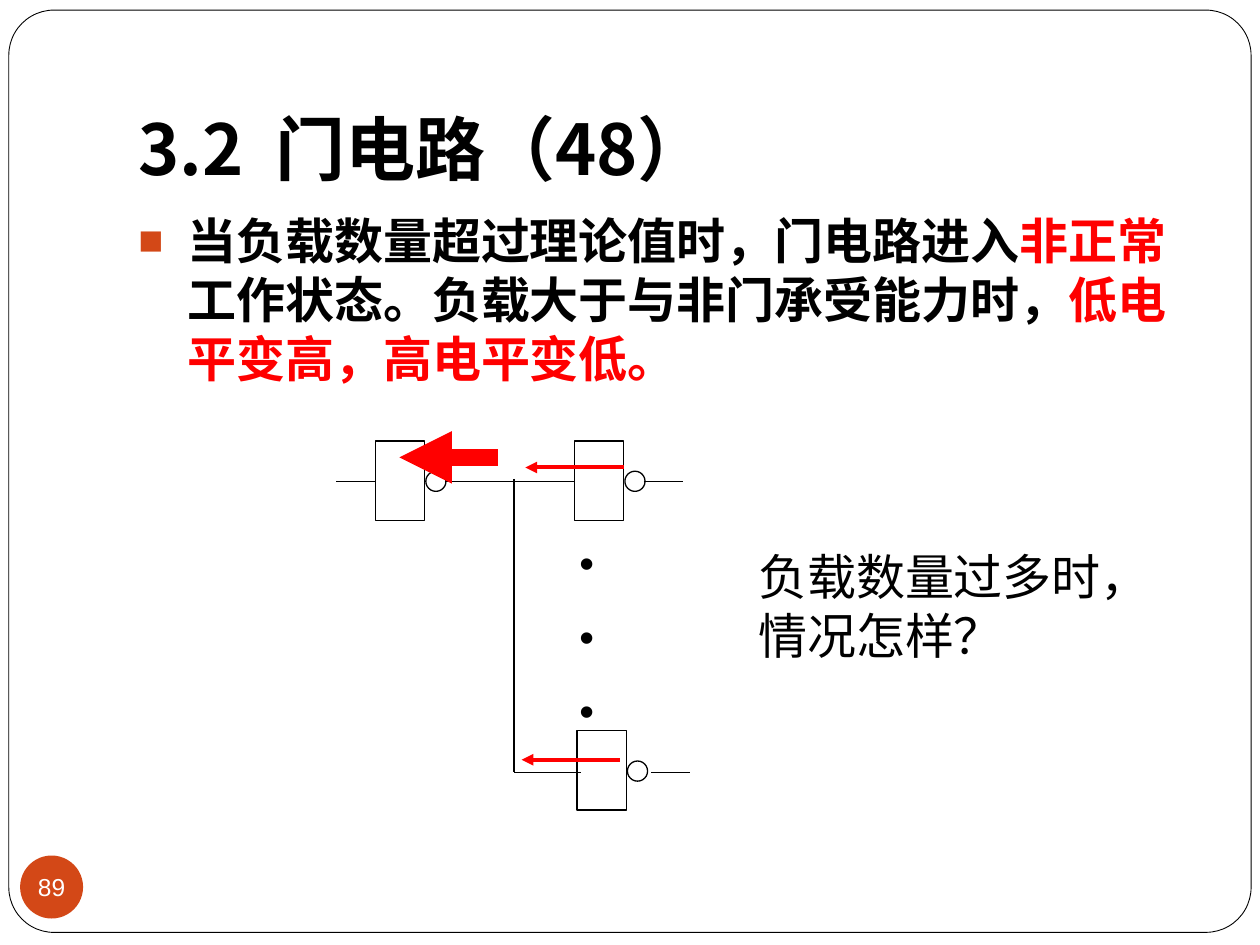
from dataclasses import dataclass

from lxml import etree
from pptx import Presentation
from pptx.dml.color import RGBColor
from pptx.enum.shapes import MSO_CONNECTOR, MSO_SHAPE
from pptx.enum.text import MSO_ANCHOR, PP_ALIGN
from pptx.oxml.ns import qn
from pptx.util import Inches, Pt

RECT, OVAL, ROUND = MSO_SHAPE.RECTANGLE, MSO_SHAPE.OVAL, MSO_SHAPE.ROUNDED_RECTANGLE
STRAIGHT = MSO_CONNECTOR.STRAIGHT
MIDDLE, BOTTOM = MSO_ANCHOR.MIDDLE, MSO_ANCHOR.BOTTOM
CENTER = PP_ALIGN.CENTER


@dataclass(frozen=True)
class Theme:
    """Colours, fonts and point sizes of the slide."""
    ink: str = "000000"
    paper: str = "FFFFFF"
    accent: str = "D34817"
    alert: str = "FF0000"
    latin: str = "Arial"
    cjk: str = "Noto Sans CJK JP"
    title: int = 40
    body: int = 28
    dots: int = 24
    number: int = 14
    leading: float = 33.7
    wire: float = 0.75
    current: float = 2.25
    total: float = 10


T = Theme()


def rgb(value):
    """Turn a hex string into a colour."""
    return RGBColor.from_string(value)


def style_run(r, size, color=T.ink, font=T.latin, bold=False):
    """Set the font of one run for Latin and Chinese text."""
    r.font.size, r.font.bold, r.font.name = Pt(size), bold, font
    r.font.color.rgb = rgb(color)
    etree.SubElement(r.font._element, qn("a:ea"), typeface=T.cjk)


def add_box(s, box, top=0.05, bottom=0.05):
    """Add a wrapping text box and return its frame."""
    tf = s.shapes.add_textbox(*map(Inches, box)).text_frame
    tf.word_wrap = True
    tf.margin_top, tf.margin_bottom = Inches(top), Inches(bottom)
    return tf


def add_outline(s, kind, box, fill=None, line=T.ink, width=T.wire):
    """Add a preset shape with an optional fill and outline."""
    sp = s.shapes.add_shape(kind, *map(Inches, box))
    sp.shadow.inherit = False
    if fill:
        sp.fill.solid()
        sp.fill.fore_color.rgb = rgb(fill)
    else:
        sp.fill.background()
    if line:
        sp.line.color.rgb, sp.line.width = rgb(line), Pt(width)
    else:
        sp.line.fill.background()
    return sp


def add_line(s, start, end, color=T.ink, width=T.wire, arrow=False):
    """Add a straight wire or a current arrow."""
    cn = s.shapes.add_connector(STRAIGHT, *map(Inches, (*start, *end)))
    cn.line.color.rgb, cn.line.width = rgb(color), Pt(width)
    if arrow:
        etree.SubElement(cn.line._get_or_add_ln(), qn("a:tailEnd"), type="triangle")
    etree.SubElement(cn._element.spPr, qn("a:effectLst"))


def add_frame(s, box):
    """Draw the rounded border of the slide."""
    add_outline(s, ROUND, box, T.paper, width=0.5).adjustments[0] = 0.049


def add_title(s, box):
    """Write the slide title."""
    tf = add_box(s, box)
    tf.vertical_anchor = BOTTOM
    tf.text = "3.2  门电路（48）"
    style_run(tf.paragraphs[0].runs[0], T.title, font=T.cjk, bold=True)


def add_number(s, box):
    """Draw the slide number badge."""
    tf = add_outline(s, OVAL, box, T.accent, None).text_frame
    tf.margin_left = tf.margin_right = tf.margin_top = tf.margin_bottom = 0
    tf.word_wrap, tf.vertical_anchor = False, MIDDLE
    tf.text = "89"
    p = tf.paragraphs[0]
    p.alignment = CENTER
    style_run(p.runs[0], T.number, T.paper)


def add_body(s, box):
    """Write the bulleted statement with its highlighted parts."""
    p = add_box(s, box, top=0.09).paragraphs[0]
    p.line_spacing = Pt(T.leading)
    pPr = p._p.get_or_add_pPr()
    pPr.set("marL", str(Inches(0.39)))
    pPr.set("indent", str(-Inches(0.39)))
    color = etree.SubElement(pPr, qn("a:buClr"))
    etree.SubElement(color, qn("a:srgbClr"), val=T.accent)
    etree.SubElement(pPr, qn("a:buSzPct"), val="85000")
    etree.SubElement(pPr, qn("a:buFont"), typeface=T.latin)
    etree.SubElement(pPr, qn("a:buChar"), char="■")
    for text, ink in (("当负载数量超过理论值时，门电路进入", T.ink),
                      ("非正常", T.alert),
                      ("工作状态。负载大于与非门承受能力时，", T.ink),
                      ("低电平变高，高电平变低。", T.alert)):
        r = p.add_run()
        r.text = text
        style_run(r, T.body, ink, bold=True)


def add_gate(s, x, y):
    """Draw an inverting gate: a box and its output bubble."""
    add_outline(s, RECT, (x, y, 0.39, 0.63))
    add_outline(s, OVAL, (x + 0.4, y + 0.24, 0.16, 0.16))


def add_dots(s, box):
    """Stack the dots that stand for further loads."""
    tf = add_box(s, box)
    tf.text = "\n".join("•" * 3)
    for i, p in enumerate(tf.paragraphs):
        p.space_before = Pt(13.5 if i else 0)
        style_run(p.runs[0], T.dots)


def add_circuit(s, box):
    """Draw one driving gate, its loads, the wires and the currents."""
    x, y = box[:2]
    for gx, gy in ((0.31, 0), (1.89, 0), (1.91, 2.3)):
        add_gate(s, x + gx, y + gy)
    for x1, y1, x2, y2 in ((0, 0.32, 0.31, 0.32), (0.86, 0.32, 1.89, 0.32),
                           (2.44, 0.32, 2.75, 0.32), (1.41, 0.3, 1.41, 2.63),
                           (1.41, 2.63, 1.94, 2.63), (2.5, 2.63, 2.81, 2.63)):
        add_line(s, (x + x1, y + y1), (x + x2, y + y2))
    for tail, cy, width in ((2.28, 0.21, T.current), (2.25, 2.53, T.current),
                            (1.28, 0.13, T.total)):
        add_line(s, (x + tail, y + cy), (x + tail - 0.78, y + cy), T.alert, width, True)
    add_dots(s, (x + 1.83, y + 0.71, 0.5, 1.72))


def add_question(s, box):
    """Write the question beside the circuit."""
    tf = add_box(s, box, top=0.09)
    tf.text = "负载数量过多时，情况怎样？"
    p = tf.paragraphs[0]
    p.line_spacing = Pt(T.leading)
    style_run(p.runs[0], T.body, font=T.cjk)


def main():
    """Build the slide and save it."""
    prs = Presentation()
    prs.slide_width, prs.slide_height = Inches(10), Inches(7.5)
    s = prs.slides.add_slide(prs.slide_layouts[6])
    add_frame(s, (0.07, 0.08, 9.86, 7.32))
    add_title(s, (1, 0.3, 8.5, 1.25))
    add_number(s, (0.16, 6.79, 0.5, 0.5))
    add_body(s, (1, 1.58, 8.5, 5))
    add_circuit(s, (2.67, 3.5, 2.81, 2.93))
    add_question(s, (5.92, 4.25, 3.67, 1.03))
    prs.save("out.pptx")


if __name__ == "__main__":
    main()
